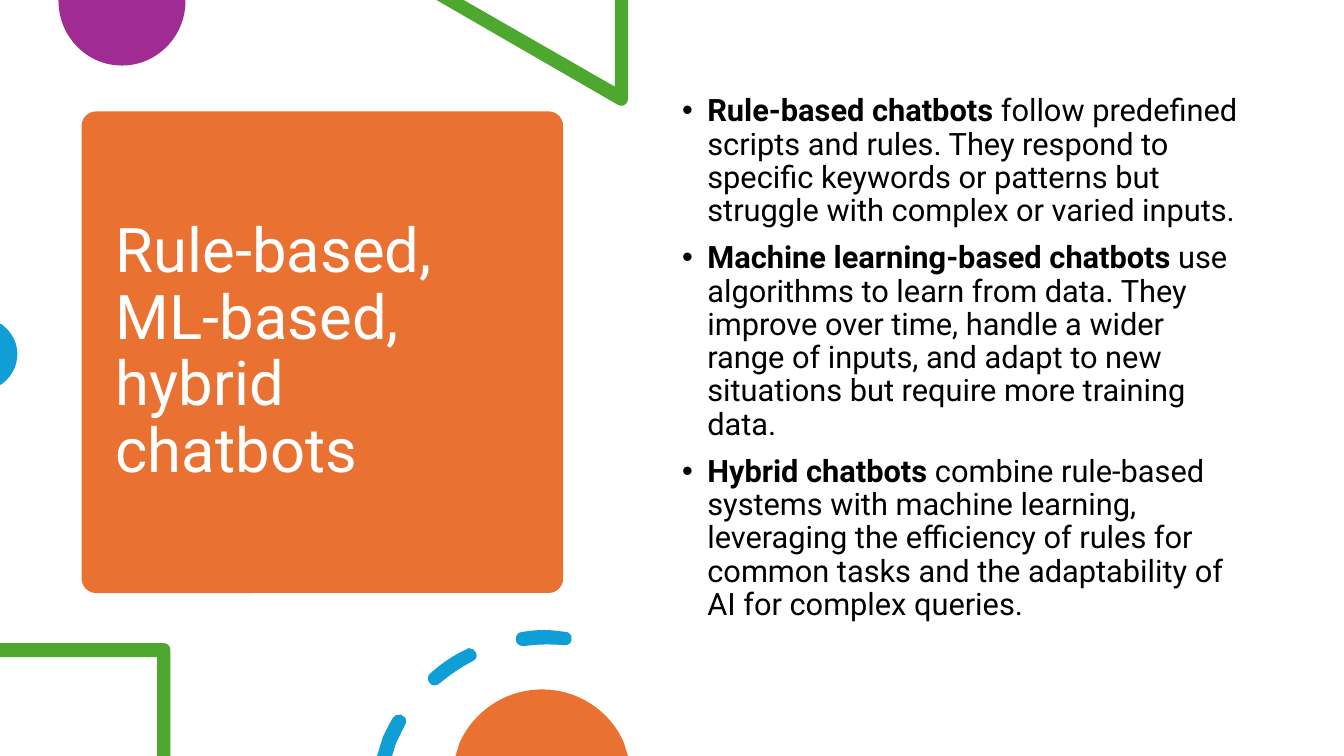
from dataclasses import dataclass

from lxml import etree
from pptx import Presentation
from pptx import util as u
from pptx.dml import color
from pptx.enum import shapes, text
from pptx.oxml import ns

COLORS = {
    "white": "FFFFFF",
    "black": "000000",
    "orange": "E97132",
    "purple": "A02B93",
    "green": "4EA72E",
    "blue": "0F9ED5",
}
FONT = "Roboto"

Step = tuple[float, ...]


@dataclass(frozen=True)
class Outline:
    color: str
    contours: tuple[tuple[Step, ...], ...]


@dataclass(frozen=True)
class Bullet:
    term: str
    description: str


PURPLE_DISC = Outline("purple", ((
    (132.5, 0), (41.8, 0), (41.8, 0.7),
    (41.8, 25.9, 61.9, 46.8, 87.1, 46.8),
    (112.3, 46.8, 132.5, 25.9, 132.5, 0.7),
),))
GREEN_TRIANGLE = Outline("green", ((
    (448.6, 0), (439.2, 0), (439.2, 61.9), (331.2, 0), (311.8, 0), (441.4, 74.9),
    (442.1, 75.6, 442.8, 75.6, 443.5, 75.6),
    (446.4, 75.6, 448.6, 73.4, 448.6, 70.6),
),))
BLUE_DISC = Outline("blue", ((
    (0, 231.1), (0, 275), (1.4, 274.3),
    (7.9, 269.3, 12.4, 262.1, 12.4, 252.7),
    (12.4, 244.1, 7.9, 236.9, 1.4, 231.8),
),))
GREEN_FRAME = Outline("green", ((
    (117.4, 459.4), (0, 459.4), (0, 469.4), (112.3, 469.4),
    (112.3, 540), (121.7, 540), (121.7, 464.4),
    (121.7, 461.5, 119.5, 459.4, 117.4, 459.4),
),))
BLUE_DASHES = Outline("blue", (
    (
        (285.8, 510.5),
        (283.7, 509.8, 282.2, 511.2, 280.8, 512.6),
        (277.9, 517, 275.8, 522, 273.6, 526.3),
        (269.3, 540), (280.1, 540), (283, 530.6),
        (285.1, 526.3, 287.3, 522, 289.4, 517.7),
        (290.9, 515.5, 290.2, 511.9, 287.3, 511.2),
        (287.3, 510.5, 286.6, 510.5, 285.8, 510.5),
    ),
    (
        (334.8, 463),
        (334.8, 463, 334.1, 463, 333.4, 463.7),
        (324, 468, 315.4, 473.8, 307.4, 481),
        (305.3, 482.4, 305.3, 486, 306.7, 487.4),
        (307.4, 488.9, 308.9, 489.6, 310.3, 489.6),
        (310.3, 489.6),
        (311.8, 489.6, 313.2, 488.9, 313.9, 488.2),
        (321.1, 482.4, 329, 476.6, 337.7, 472.3),
        (340.6, 470.9, 341.3, 468, 339.8, 465.8),
        (339.1, 463.7, 337, 463, 334.8, 463),
    ),
    (
        (388.8, 450),
        (383, 450, 378, 450.7, 373, 451.4),
        (370.1, 451.4, 367.9, 454.3, 368.6, 457.2),
        (368.6, 459.4, 370.8, 461.5, 373.7, 461.5),
        (373.7, 461.5, 373.7, 461.5, 374.4, 461.5),
        (384, 460.1, 393.1, 460.1, 403.2, 460.8),
        (405.4, 461.5, 408.2, 459.4, 408.2, 457.2),
        (409, 454.3, 406.8, 451.4, 404.6, 451.4),
        (404.6, 451.4, 403.9, 451.4, 403.9, 451.4),
        (398.9, 450.7, 393.8, 450, 388.8, 450),
    ),
))
ORANGE_DISC = Outline("orange", ((
    (387.4, 492.5),
    (360.7, 492.5, 338.4, 508.3, 328.3, 530.6),
    (325.4, 540), (448.6, 540), (445.7, 530.6),
    (436.3, 508.3, 413.3, 492.5, 387.4, 492.5),
),))

BULLETS = (
    Bullet(
        "Rule-based chatbots ",
        "follow predefined scripts and rules. They respond to specific keywords "
        "or patterns but struggle with complex or varied inputs.",
    ),
    Bullet(
        "Machine learning-based chatbots ",
        "use algorithms to learn from data. They improve over time, handle a wider "
        "range of inputs, and adapt to new situations but require more training data.",
    ),
    Bullet(
        "Hybrid chatbots ",
        "combine rule-based systems with machine learning, leveraging the efficiency "
        "of rules for common tasks and the adaptability of AI for complex queries.",
    ),
)


def rgb(name: str) -> color.RGBColor:
    return color.RGBColor.from_string(COLORS[name])


def paint(sp, name: str) -> None:
    sp.shadow.inherit = False
    sp.fill.solid()
    sp.fill.fore_color.rgb = rgb(name)
    sp.line.fill.background()


def bend_curves(sp, outline: Outline) -> None:
    segments = iter(list(sp._element.iter(ns.qn("a:lnTo"))))
    for contour in outline.contours:
        for step in contour[1:]:
            first = next(segments)
            if len(step) == 2:
                continue
            curve = etree.Element(ns.qn("a:cubicBezTo"))
            first.addprevious(curve)
            for segment in (first, next(segments), next(segments)):
                curve.append(segment[0])
                segment.getparent().remove(segment)


def draw_outline(s, outline: Outline) -> None:
    builder = None
    for contour in outline.contours:
        start, *points = [(u.Pt(step[i]), u.Pt(step[i + 1]))
                          for step in contour for i in range(0, len(step), 2)]
        if builder is None:
            builder = s.shapes.build_freeform(*start, scale=1.0)
        else:
            builder.move_to(*start)
        builder.add_line_segments(points, close=True)
    sp = builder.convert_to_shape()
    bend_curves(sp, outline)
    paint(sp, outline.color)


def add_text_box(s, left: float, top: float, width: float, height: float):
    sp = s.shapes.add_textbox(u.Pt(left), u.Pt(top), u.Pt(width), u.Pt(height))
    sp.text_frame.word_wrap = True
    return sp.text_frame


def style_run(r, size: float, name: str, bold: bool = False) -> None:
    r.font.name = FONT
    r.font.size = u.Pt(size)
    r.font.bold = bold
    r.font.color.rgb = rgb(name)


def write_bullet(p, bullet: Bullet) -> None:
    p.text = bullet.term
    p.line_spacing = 0.9
    p.space_before = u.Pt(10)
    style_run(p.runs[0], 22, "black", True)
    r = p.add_run()
    r.text = bullet.description
    style_run(r, 22, "black")
    ppr = p._p.get_or_add_pPr()
    ppr.set("marL", str(u.Pt(18)))
    ppr.set("indent", str(u.Pt(-18)))
    etree.SubElement(ppr, ns.qn("a:buFont")).set("typeface", "Arial")
    etree.SubElement(ppr, ns.qn("a:buChar")).set("char", "•")


def main() -> None:
    prs = Presentation()
    prs.slide_width, prs.slide_height = u.Pt(960), u.Pt(540)
    s = prs.slides.add_slide(prs.slide_layouts[6])

    sp = s.shapes.add_shape(shapes.MSO_SHAPE.ROUNDED_RECTANGLE,
                            u.Pt(58.3), u.Pt(79.6), u.Pt(344), u.Pt(344))
    sp.adjustments[0] = 0.03
    paint(sp, "orange")

    tf = add_text_box(s, 75.6, 87.8, 310.3, 328.3)
    tf.vertical_anchor = text.MSO_ANCHOR.MIDDLE
    tf.text = "Rule-based, ML-based, hybrid chatbots"
    tf.paragraphs[0].line_spacing = 0.9
    style_run(tf.paragraphs[0].runs[0], 44, "white")

    for outline in OUTLINES_BEHIND_BODY:
        draw_outline(s, outline)

    tf = add_text_box(s, 480.2, 64.5, 414, 385.2)
    for i, bullet in enumerate(BULLETS):
        write_bullet(tf.add_paragraph() if i else tf.paragraphs[0], bullet)

    for outline in OUTLINES_ALONG_BOTTOM:
        draw_outline(s, outline)

    prs.save("out.pptx")


OUTLINES_BEHIND_BODY = (PURPLE_DISC, GREEN_TRIANGLE, BLUE_DISC)
OUTLINES_ALONG_BOTTOM = (GREEN_FRAME, BLUE_DASHES, ORANGE_DISC)

if __name__ == "__main__":
    main()
